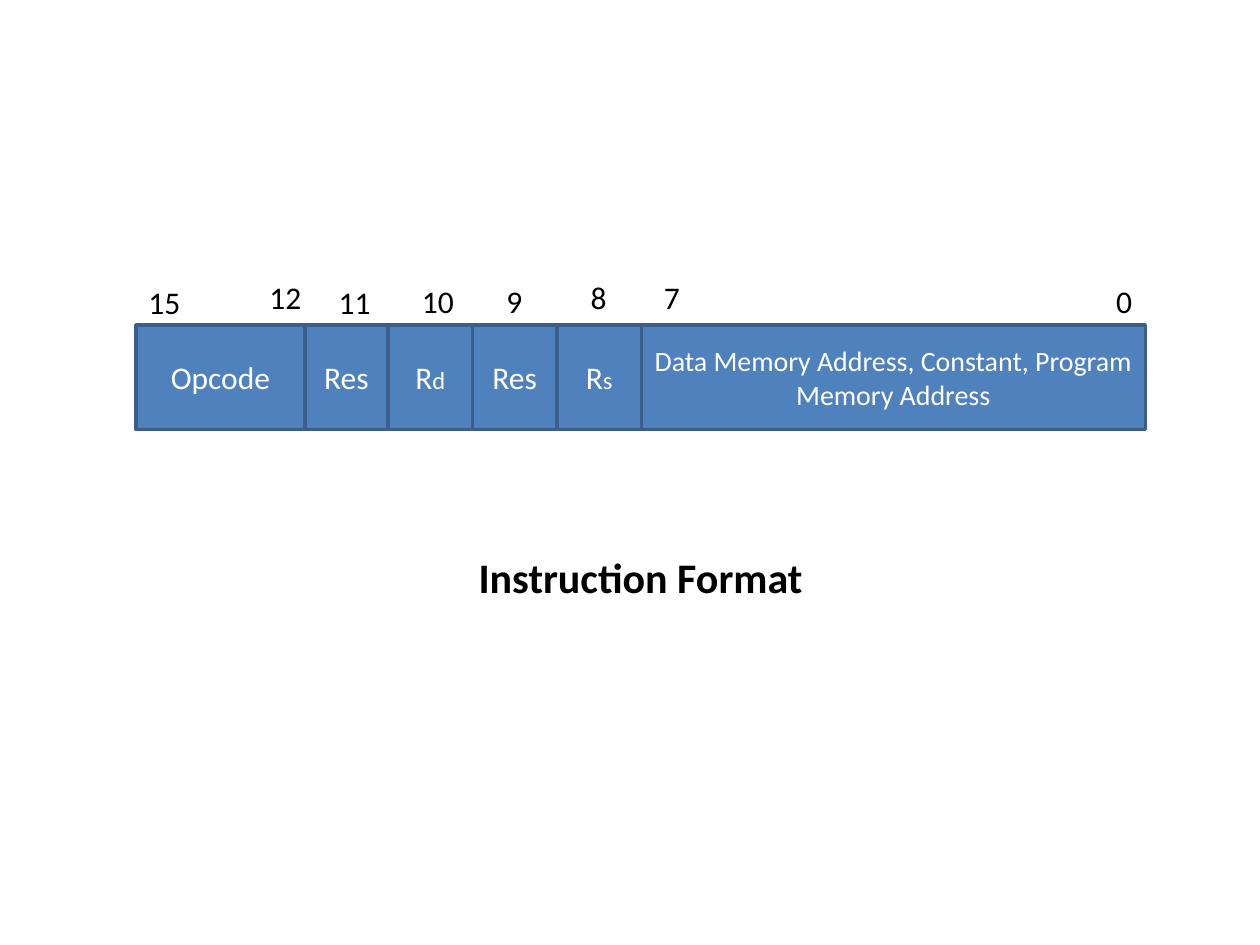
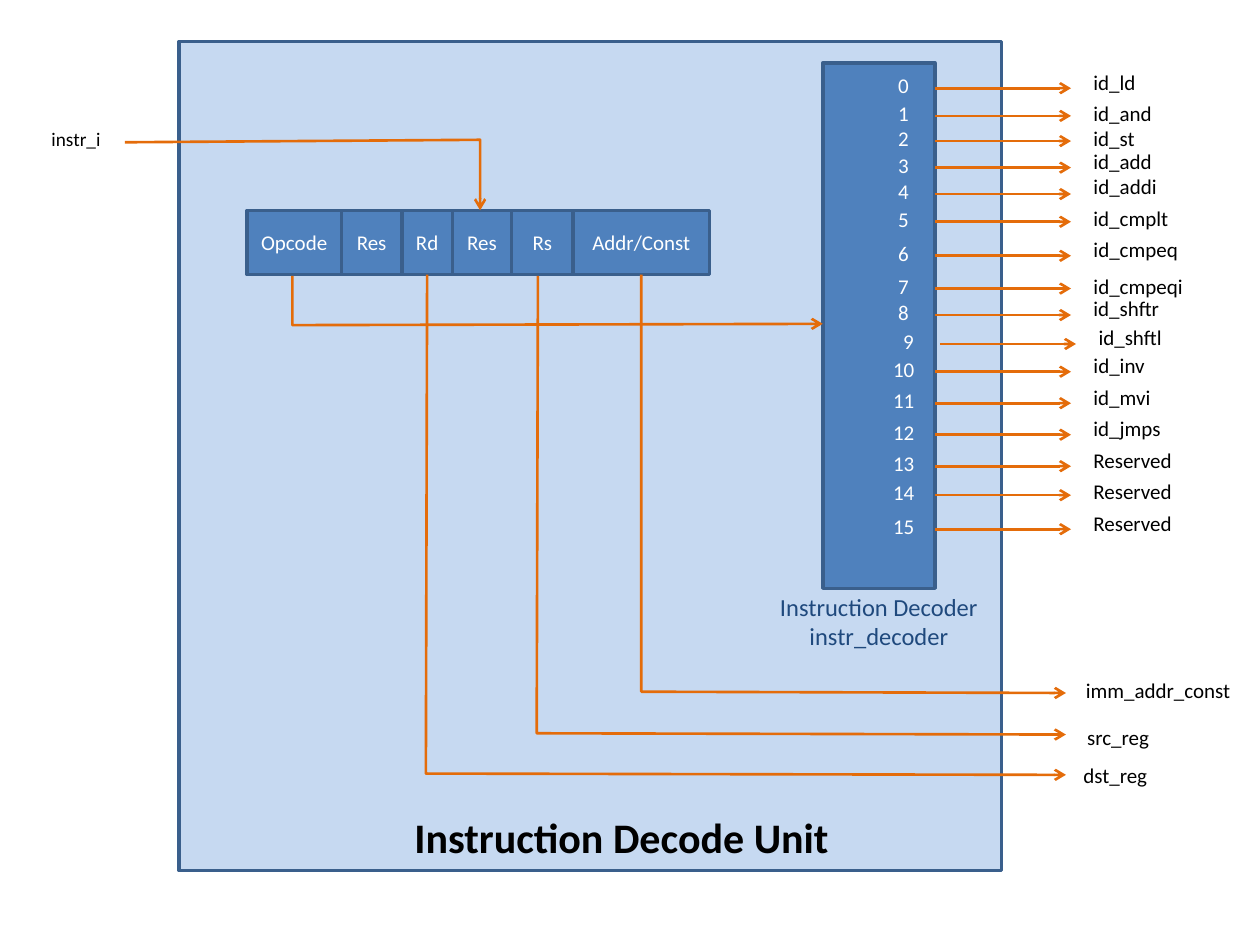
from dataclasses import dataclass
from itertools import accumulate

from lxml import etree
from pptx import Presentation
from pptx.dml.color import RGBColor
from pptx.enum.dml import MSO_FILL
from pptx.enum.shapes import MSO_CONNECTOR, MSO_SHAPE
from pptx.enum.text import MSO_ANCHOR, MSO_AUTO_SIZE, PP_ALIGN
from pptx.oxml.ns import qn
from pptx.util import Emu, Pt

RECTANGLE = MSO_SHAPE.RECTANGLE
STRAIGHT = MSO_CONNECTOR.STRAIGHT
MIDDLE = MSO_ANCHOR.MIDDLE
CENTER, LEFT = PP_ALIGN.CENTER, PP_ALIGN.LEFT
GROW = MSO_AUTO_SIZE.SHAPE_TO_FIT_TEXT
SOLID = MSO_FILL.SOLID

EMU_PER_PX = 9144
FONT = "Calibri"
BLUE = "4F81BD"
EDGE = "3A5F8C"
PALE = "C6D9F1"
NAVY = "1F497D"
ORANGE = "E46C0A"
WHITE = "FFFFFF"
BLACK = "000000"


@dataclass(frozen=True)
class Span:
    text: str
    size: int


@dataclass(frozen=True)
class Field:
    width: int
    spans: tuple[Span, ...]


@dataclass(frozen=True)
class Label:
    text: str
    left: int
    top: int
    width: int
    height: int = 30
    size: int = 12
    color: str = BLACK
    bold: bool = False
    align: PP_ALIGN = LEFT


@dataclass(frozen=True)
class Output:
    name: str
    wire_y: int
    name_top: int
    name_width: int
    shift: int = 0


def bit_label(text: str, left: int, top: int) -> Label:
    return Label(text, left, top, 20 + 13 * len(text), 40, 18)


def title(text: str, left: int, top: int, width: int) -> Label:
    return Label(text, left, top, width, 50, 24, bold=True)


BIT_LABELS = (
    bit_label("0", 876, 219),
    bit_label("7", 517, 216),
    bit_label("8", 459, 216),
    bit_label("9", 392, 219),
    bit_label("10", 325, 219),
    bit_label("11", 259, 220),
    bit_label("12", 204, 216),
    bit_label("15", 108, 220),
)

FORMAT_FIELDS = (
    Field(134, (Span("Opcode", 18),)),
    Field(66, (Span("Res", 18),)),
    Field(67, (Span("R", 18), Span("d", 14))),
    Field(67, (Span("Res", 18),)),
    Field(67, (Span("R", 18), Span("s", 14))),
    Field(400, (Span("Data Memory Address, Constant, Program Memory Address", 16),)),
)

REGISTER_FIELDS = (
    Field(75, (Span("Opcode", 12),)),
    Field(48, (Span("Res", 12),)),
    Field(40, (Span("Rd", 12),)),
    Field(47, (Span("Res", 12),)),
    Field(49, (Span("Rs", 12),)),
    Field(108, (Span("Addr/Const", 12),)),
)

OUTPUTS = (
    Output("id_ld", 70, 50, 54),
    Output("id_and", 92, 75, 67),
    Output("id_st", 112, 95, 53),
    Output("id_add", 133, 113, 67),
    Output("id_addi", 154, 133, 71),
    Output("id_cmplt", 176, 158, 80),
    Output("id_cmpeq", 203, 183, 88),
    Output("id_cmpeqi", 229, 212, 92),
    Output("id_shftr", 250, 230, 73),
    Output("id_shftl", 273, 253, 71, shift=4),
    Output("id_inv", 295, 275, 61),
    Output("id_mvi", 320, 300, 66),
    Output("id_jmps", 345, 325, 74),
    Output("Reserved", 370, 350, 83),
    Output("Reserved", 393, 375, 83),
    Output("Reserved", 420, 400, 83),
)

FIELD_WIRES = (
    ((232, 219), (232, 258), (653, 257)),
    ((339, 218), (338, 614), (846, 615)),
    ((427, 219), (426, 582), (846, 583)),
    ((509, 218), (509, 549), (846, 550)),
    ((99, 113), (381, 111), (381, 167)),
)

SIGNAL_LABELS = (
    Label("instr_i", 31, 96, 59, 29, 11),
    Label("imm_addr_const", 852, 533, 136),
    Label("src_reg", 853, 570, 70),
    Label("dst_reg", 850, 600, 71),
)


def px(length: int) -> Emu:
    return Emu(length * EMU_PER_PX)


def rgb(color: str) -> RGBColor:
    return RGBColor.from_string(color)


def add_span(para, span: Span, color: str, bold: bool = False) -> None:
    run = para.add_run()
    run.text = span.text
    run.font.name = FONT
    run.font.size = Pt(span.size)
    run.font.bold = bold
    run.font.color.rgb = rgb(color)


def add_box(shapes, left: int, top: int, width: int, height: int, fill: str = BLUE):
    box = shapes.add_shape(RECTANGLE, px(left), px(top), px(width), px(height))
    box.shadow.inherit = False
    box.fill.solid()
    box.fill.fore_color.rgb = rgb(fill)
    box.line.color.rgb = rgb(EDGE)
    box.line.width = Pt(2)
    return box


def add_fields(shapes, fields: tuple[Field, ...], left: int, top: int, height: int) -> None:
    lefts = accumulate((field.width for field in fields), initial=left)
    for field, field_left in zip(fields, lefts):
        frame = add_box(shapes, field_left, top, field.width, height).text_frame
        frame.word_wrap = True
        frame.vertical_anchor = MIDDLE
        para = frame.paragraphs[0]
        para.alignment = CENTER
        for span in field.spans:
            add_span(para, span, WHITE)


def add_label(shapes, label: Label) -> None:
    box = shapes.add_textbox(px(label.left), px(label.top), px(label.width), px(label.height))
    frame = box.text_frame
    frame.word_wrap = False
    frame.auto_size = GROW
    for index, line in enumerate(label.text.split("\n")):
        para = frame.add_paragraph() if index else frame.paragraphs[0]
        para.alignment = label.align
        add_span(para, Span(line, label.size), label.color, label.bold)


def style_wire(wire) -> None:
    wire.line.color.rgb = rgb(ORANGE)
    wire.line.width = Pt(1.5)
    properties = wire.line._get_or_add_ln()
    etree.SubElement(properties, qn("a:tailEnd"), type="arrow")


def add_wire(shapes, start: int, end: int, y: int) -> None:
    wire = shapes.add_connector(STRAIGHT, px(start), px(y), px(end), px(y))
    style_wire(wire)
    etree.SubElement(wire.line._get_or_add_ln().getparent(), qn("a:effectLst"))


def add_bent_wire(shapes, points: tuple[tuple[int, int], ...]) -> None:
    start, *corners = points
    builder = shapes.build_freeform(*start, scale=EMU_PER_PX)
    builder.add_line_segments(corners, close=False)
    wire = builder.convert_to_shape()
    wire.shadow.inherit = False
    wire.fill.background()
    style_wire(wire)


def add_output(shapes, number: int, output: Output) -> None:
    digits = str(number)
    shift = output.shift
    add_wire(shapes, 742 + shift, 850 + shift, output.wire_y)
    add_label(shapes, Label(output.name, 858 + shift, output.name_top, output.name_width))
    number_left = 707 - 4 * len(digits) + shift
    number_width = 21 + 8 * len(digits)
    add_label(shapes, Label(digits, number_left, output.wire_y - 17, number_width, color=WHITE))


def build_format_page(page) -> None:
    shapes = page.shapes
    add_fields(shapes, FORMAT_FIELDS, 108, 258, 83)
    for label in BIT_LABELS:
        add_label(shapes, label)
    add_label(shapes, title("Instruction Format", 370, 433, 280))


def build_decode_page(page) -> None:
    shapes = page.shapes
    add_box(shapes, 142, 33, 653, 658, PALE)
    add_box(shapes, 653, 50, 89, 417)
    add_label(shapes, Label("Instruction Decoder\ninstr_decoder", 608, 465, 179, 57, 14, NAVY, align=CENTER))
    for number, output in enumerate(OUTPUTS):
        add_output(shapes, number, output)
    register = shapes.add_group_shape()
    add_fields(register.shapes, REGISTER_FIELDS, 196, 167, 51)
    add_label(shapes, title("Instruction Decode Unit", 319, 639, 352))
    for points in FIELD_WIRES:
        add_bent_wire(shapes, points)
    for label in SIGNAL_LABELS:
        add_label(shapes, label)


def main() -> None:
    deck = Presentation()
    deck.slide_width, deck.slide_height = px(1000), px(750)
    blank = deck.slide_layouts[6]
    for build in (build_format_page, build_decode_page):
        page = deck.slides.add_slide(blank)
        background = page.background.fill
        background.solid()
        background.fore_color.rgb = rgb(WHITE)
        build(page)
    deck.save("out.pptx")


if __name__ == "__main__":
    main()
